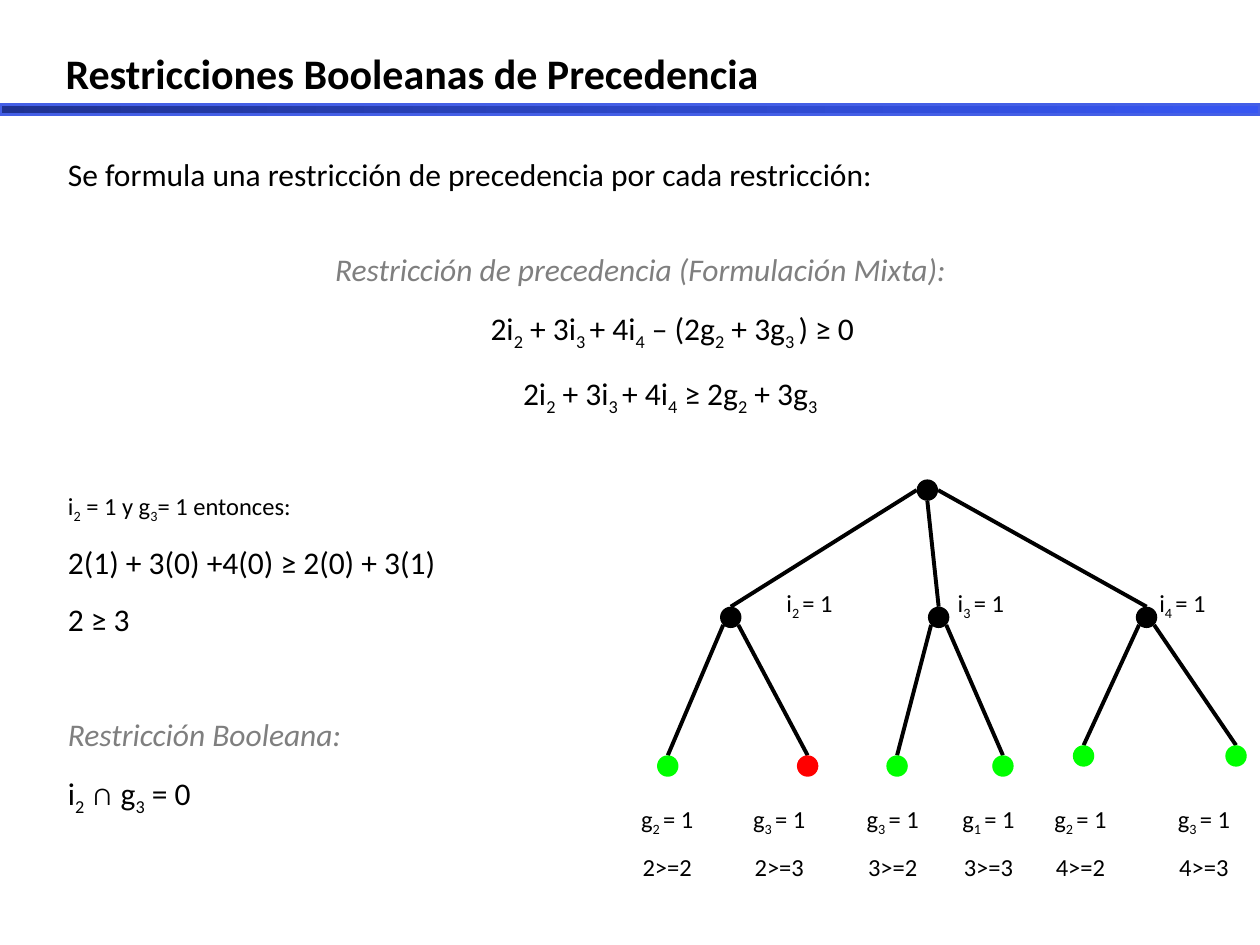
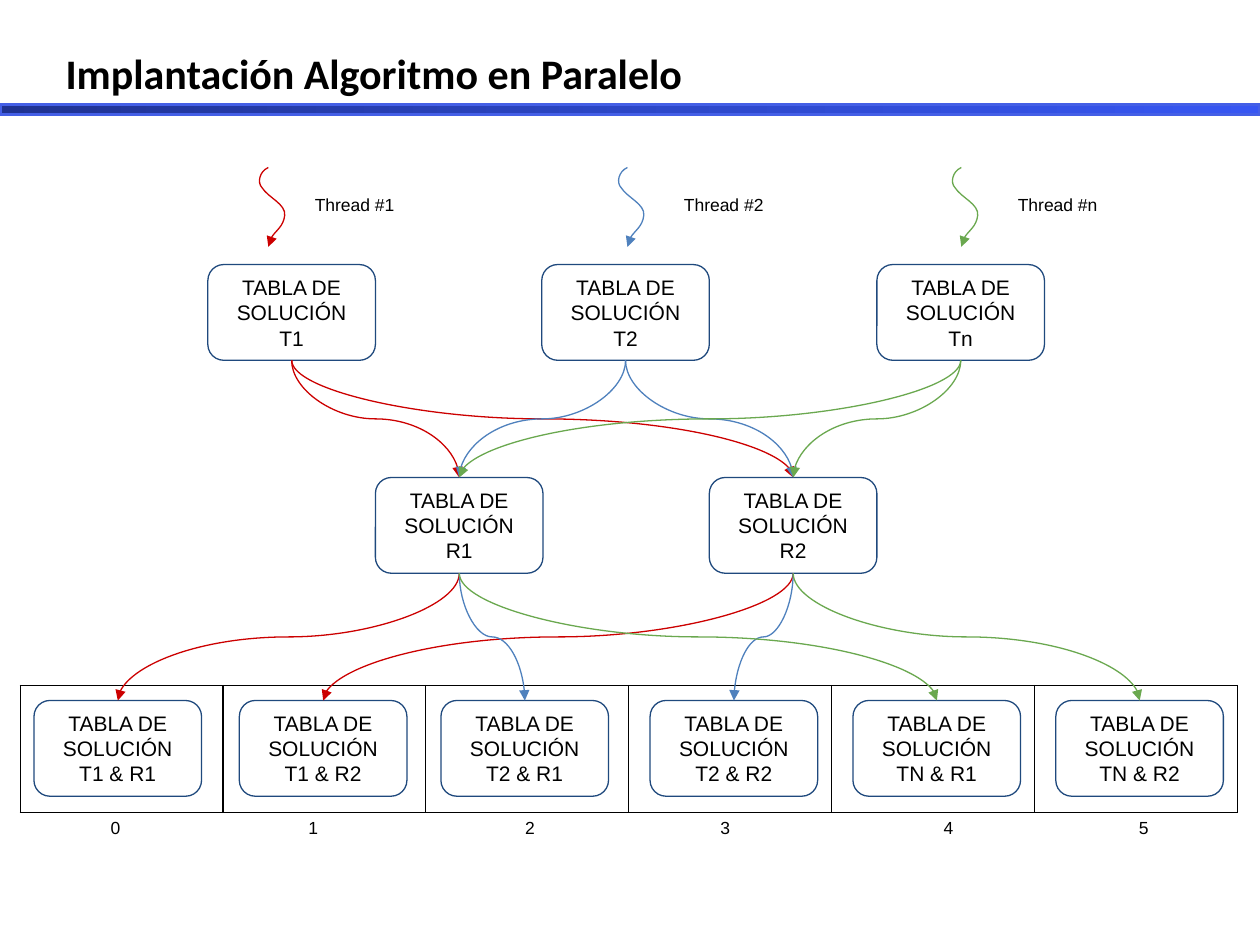
from copy import deepcopy
from lxml.etree import SubElement
from pptx import Presentation
from pptx.dml.color import RGBColor
from pptx.enum.shapes import MSO_CONNECTOR, MSO_SHAPE
from pptx.enum.text import MSO_ANCHOR, MSO_AUTO_SIZE, PP_ALIGN
from pptx.oxml.ns import qn
from pptx.util import Inches, Pt

W, H = 10, 7.5
HUES = {
    "ink": "000000", "mute": "7F7F7F", "white": "FFFFFF", "edge": "1F497D",
    "lime": "00FF00", "fail": "FF0000",
    "red": "CC0000", "blue": "4F81BD", "green": "6AA84F",
    "dark": "1F3291", "mid": "2D48CA", "light": "3756F2", "rim": "445FE6",
}
RGB = {name: RGBColor.from_string(code) for name, code in HUES.items()}


def write(para, text, size, font="Calibri", hue="ink", align=PP_ALIGN.LEFT):
    """Fill a paragraph; text between underscores is set as subscript."""
    para.alignment = align
    for i, part in enumerate(text.split("_")):
        if part:
            run = para.add_run()
            run.text = part
            run.font.size, run.font.name = Pt(size), font
            run.font.color.rgb = RGB[hue]
            if i % 2:
                run.font._element.set("baseline", "-25000")


def pen(shape, hue, width, arrow=False):
    """Set the line of a connector or curve, without shadow."""
    shape.line.color.rgb = RGB[hue]
    shape.line.width = Pt(width)
    props = shape._element.spPr
    if arrow:
        SubElement(props.find(qn("a:ln")), qn("a:tailEnd"), type="triangle")
    SubElement(props, qn("a:effectLst"))


prs = Presentation()
prs.slide_width, prs.slide_height = Inches(W), Inches(H)

# Title and gradient band on each slide
pages = []
for head in ("Restricciones Booleanas de Precedencia",
             "Implantación Algoritmo en Paralelo"):
    page = prs.slides.add_slide(prs.slide_layouts[5])
    pages.append(page)
    title = page.shapes.title
    title.left, title.top = Inches(0.42), Inches(0.33)
    title.width, title.height = Inches(8.92), Inches(0.5)
    frame = title.text_frame
    frame.auto_size = MSO_AUTO_SIZE.NONE
    frame.vertical_anchor = MSO_ANCHOR.TOP
    write(frame.paragraphs[0], head, 24)
    frame.paragraphs[0].runs[0].font.bold = True

    band = page.shapes.add_shape(MSO_SHAPE.RECTANGLE, 0, Inches(0.83),
                                 Inches(W), Inches(0.08))
    band.shadow.inherit = False
    band.fill.gradient()
    band.fill.gradient_angle = 0
    stops = band._element.spPr.find(".//" + qn("a:gsLst"))
    stops.insert(1, deepcopy(stops[0]))
    for stop, hue, share in zip(band.fill.gradient_stops,
                                ("dark", "mid", "light"), (0, 0.54, 1)):
        stop.color.rgb, stop.position = RGB[hue], share
    band.line.color.rgb, band.line.width = RGB["rim"], Pt(2)

# Slide 1: formulas as text, size, space before, line spacing, style
tree = pages[0].shapes
body = tree.add_textbox(*map(Inches, (0.44, 1.18, 9.29, 6.14))).text_frame
body.word_wrap = True
rows = [
    ("Se formula una restricción de precedencia por cada restricción:", 18, 0, 1, ""),
    ("Restricción de precedencia (Formulación Mixta):", 18, 22, 1.5, "note center"),
    ("2i_2_ + 3i_3 _+ 4i_4_ – (2g_2_ + 3g_3 _) ≥ 0", 18, 0, 1.5, "center indent"),
    ("2i_2_ + 3i_3 _+ 4i_4_ ≥ 2g_2_ + 3g_3 _", 18, 0, 1.5, "center indent"),
    ("i_2_ = 1 y g_3_= 1 entonces:", 14, 33, 1.5, ""),
    ("2(1) + 3(0) +4(0) ≥ 2(0) + 3(1)", 18, 0, 1.5, ""),
    ("2 ≥ 3", 18, 0, 1.5, ""),
    ("Restricción Booleana:", 18, 33, 1.5, "note"),
    ("i_2_ ∩ g_3_ = 0", 18, 0, 1.5, ""),
]
for i, (text, size, gap, lead, style) in enumerate(rows):
    para = body.add_paragraph() if i else body.paragraphs[0]
    write(para, text, size, hue="mute" if "note" in style else "ink",
          align=PP_ALIGN.CENTER if "center" in style else PP_ALIGN.LEFT)
    para.space_before, para.line_spacing = Pt(gap), lead
    if "note" in style:
        para.runs[0].font.italic = True
    if "indent" in style:
        para._p.get_or_add_pPr().set("indent", str(Inches(0.5)))

# Tree: root, three branches, two leaves each
dot = 0.17
root_x, root_y, node_y = 7.36, 3.89, 4.9
leaves = [(5.3, 6.41, 6.08), (7.12, 7.96, 6.08), (8.6, 9.81, 6)]
nodes = [(root_x, root_y, "ink")]
edges = []
for i, (left, right, y) in enumerate(leaves):
    x = 5.8 + 1.65 * i
    side = i - 1
    nodes.append((x, node_y, "ink"))
    edges.append((root_x + side * dot / 2,
                  root_y + (0 if side else dot / 2), x, node_y - dot / 2))
    for leaf, shift in ((left, -0.06), (right, 0.06)):
        nodes.append((leaf, y, "fail" if leaf == 6.41 else "lime"))
        edges.append((x + shift, node_y + 0.06, leaf, y - dot / 2))
for ends in edges:
    pen(tree.add_connector(MSO_CONNECTOR.STRAIGHT, *map(Inches, ends)), "ink", 2.25)
for x, y, hue in nodes:
    node = tree.add_shape(MSO_SHAPE.OVAL, *map(
        Inches, (x - dot / 2, y - dot / 2, dot, dot)))
    node.shadow.inherit = False
    node.fill.solid()
    node.fill.fore_color.rgb = RGB[hue]
    node.line.fill.background()

# Tree labels
tags = [(x, 4.48, 0.5, [f"i_{n} _= 1"])
        for x, n in ((6.05, 2), (7.41, 3), (9.01, 4))]
tags += [(x, 6.15, 0.94, [f"g_{n} _= 1", test]) for x, n, test in (
    (4.92, 2, "2>=2"), (5.81, 3, "2>=3"), (6.71, 3, "3>=2"),
    (7.47, 1, "3>=3"), (8.2, 2, "4>=2"), (9.18, 3, "4>=3"))]
for x, y, tall, lines in tags:
    frame = tree.add_textbox(*map(Inches, (x, y, 0.75, tall))).text_frame
    frame.word_wrap = True
    frame.vertical_anchor = MSO_ANCHOR.MIDDLE
    frame.margin_top = frame.margin_bottom = Inches(0.1)
    for i, text in enumerate(lines):
        para = frame.add_paragraph() if i else frame.paragraphs[0]
        write(para, text, 14, align=PP_ALIGN.CENTER)
        para.line_spacing = 1.5

# Slide 2: array of six cells
flow = pages[1].shapes
table = flow.add_table(1, 6, *map(Inches, (0.16, 5.44, 6 * 1.61, 1.01))).table
table.first_row = table.horz_banding = False
for cell in table.iter_cells():
    props = cell._tc.get_or_add_tcPr()
    for side in ("lnL", "lnR", "lnT", "lnB"):
        rule = SubElement(props, qn("a:" + side), w=str(Pt(0.75)))
        SubElement(SubElement(rule, qn("a:solidFill")), qn("a:srgbClr"), val=HUES["ink"])
    cell.fill.background()

# Solution boxes in three tiers
wide, tall = 1.33, 0.76
tiers = [
    (2.1, [1.65, 4.3, 6.96], ["T1", "T2", "Tn"]),
    (3.79, [2.98, 5.63], ["R1", "R2"]),
    (5.56, [0.27, 1.9, 3.5, 5.16, 6.77, 8.38],
     ["T1 & R1", "T1 & R2", "T2 & R1", "T2 & R2", "TN & R1", "TN & R2"]),
]
for y, lefts, names in tiers:
    for x, name in zip(lefts, names):
        box = flow.add_shape(MSO_SHAPE.ROUNDED_RECTANGLE,
                             *map(Inches, (x, y, wide, tall)))
        box.shadow.inherit = False
        box.fill.solid()
        box.fill.fore_color.rgb = RGB["white"]
        box.line.color.rgb, box.line.width = RGB["edge"], Pt(0.75)
        frame = box.text_frame
        frame.word_wrap = True
        frame.vertical_anchor = MSO_ANCHOR.MIDDLE
        frame.margin_top = frame.margin_bottom = Inches(0.1)
        write(frame.paragraphs[0], "TABLA DE SOLUCIÓN " + name, 12, "Arial",
              align=PP_ALIGN.CENTER)

# Thread waves and the curved arrows of each thread
wave = [(0, 0), (-0.07, 0.03), (-0.09, 0.12), (-0.05, 0.16), (0, 0.24),
        (0.14, 0.29), (0.13, 0.38), (0.12, 0.47), (0, 0.54), (0, 0.63)]
(top, firsts, _), (mid, joins, _), (low, lasts, _) = tiers
for i, (hue, x) in enumerate(zip(("red", "blue", "green"), (2.13, 4.98, 7.63))):
    spots = [(Inches(x + dx), Inches(1.33 + dy)) for dx, dy in wave]
    form = flow.build_freeform(*spots[0])
    form.add_line_segments(spots[1:], close=False)
    curl = form.convert_to_shape()
    curl.fill.background()
    pen(curl, hue, 0.75, arrow=True)
    track = curl._element.spPr.find(".//" + qn("a:path"))
    steps = track.findall(qn("a:lnTo"))
    for k in range(0, len(steps), 3):
        bend = SubElement(track, qn("a:cubicBezTo"))
        for step in steps[k:k + 3]:
            bend.append(step[0])
            track.remove(step)

    for j, join in enumerate(joins):
        for x1, y1, x2, y2 in ((firsts[i], top + tall, join, mid),
                               (join, mid + tall, lasts[2 * i + j], low)):
            # The curve lies sideways in its frame and is turned upright
            cx, cy = (x1 + x2 + wide) / 2, (y1 + y2) / 2
            half, drop = abs(x2 - x1) / 2, (y2 - y1) / 2
            right = x2 > x1
            if right:
                drop = -drop
            link = flow.add_connector(MSO_CONNECTOR.CURVE, *map(
                Inches, (cx - drop, cy - half, cx + drop, cy + half)))
            link._element.spPr.xfrm.set("rot", str((270 if right else 90) * 60000))
            pen(link, hue, 0.75, arrow=True)

# Thread names and cell numbers
notes = [(x, 1.46, 0.87, 0.37, "Thread #" + n)
         for x, n in zip((2.4, 5.33, 7.98), "12n")]
notes += [(x, 6.4, 0.3, 0.31, n)
          for x, n in zip((0.78, 2.35, 4.07, 5.62, 7.39, 8.94), "012345")]
for *at, text in notes:
    frame = flow.add_textbox(*map(Inches, at)).text_frame
    frame.word_wrap = True
    frame.margin_top = frame.margin_bottom = Inches(0.1)
    write(frame.paragraphs[0], text, 10, "Arial")

prs.save("out.pptx")
